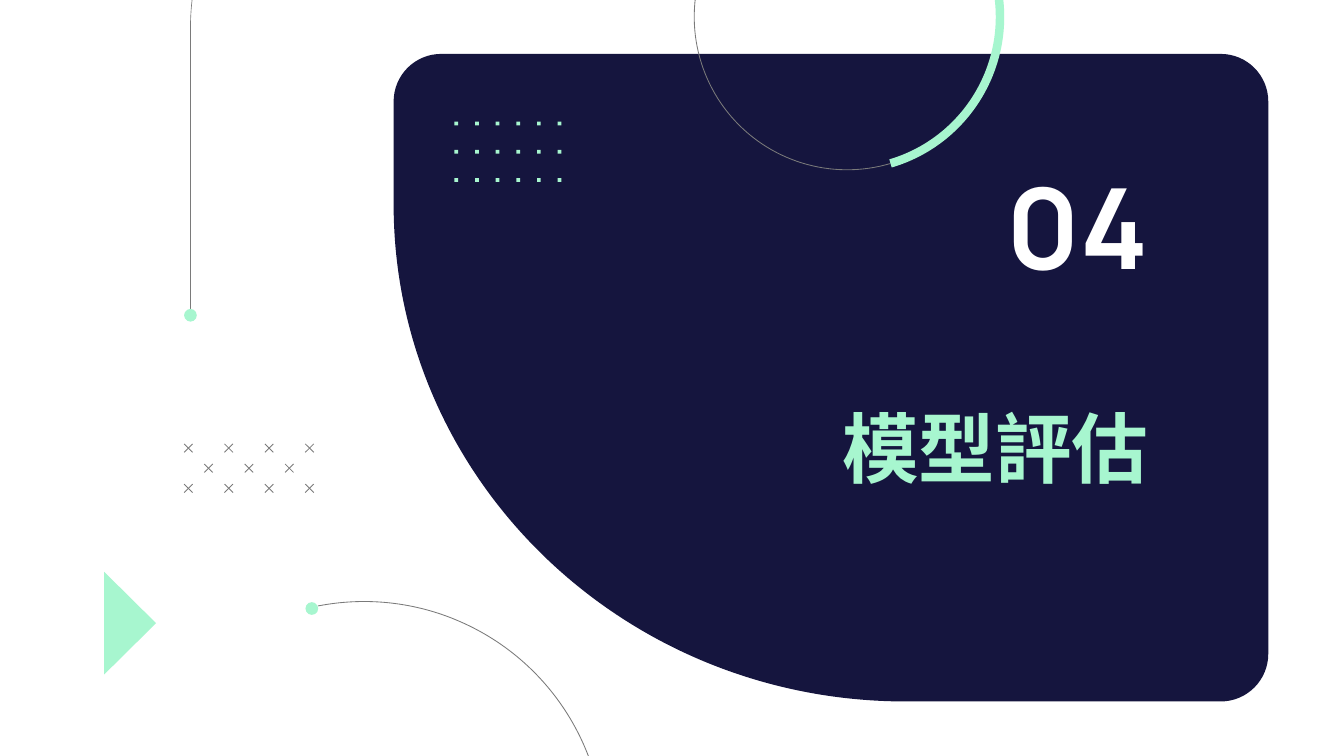
import math
from collections import namedtuple

from lxml import etree
from pptx import Presentation
from pptx import util as u
from pptx.dml import color
from pptx.enum import shapes, text
from pptx.oxml import ns

COLORS = {"navy": "15153E", "mint": "A7F6CF", "gray": "7A7A7A", "white": "FFFFFF"}
Box = namedtuple("Box", "left top width height")


def rgb(name):
    return color.RGBColor.from_string(COLORS[name])


def arc(center_x, center_y, radius_x, radius_y, start, end):
    count = math.ceil(abs(end - start) / 90)
    turn = math.radians(end - start) / count
    reach = 4 / 3 * math.tan(turn / 4)

    def spot(angle, pull):
        x = math.cos(angle) - pull * math.sin(angle)
        y = math.sin(angle) + pull * math.cos(angle)
        return center_x + radius_x * x, center_y + radius_y * y

    angles = [math.radians(start) + turn * i for i in range(count + 1)]
    pieces = [(spot(angles[0], 0),)]
    for first, last in zip(angles, angles[1:]):
        pieces.append((spot(first, reach), spot(last, -reach), spot(last, 0)))
    return pieces


def fill_shape(shape, fill):
    shape.shadow.inherit = False
    shape.fill.solid()
    shape.fill.fore_color.rgb = rgb(fill)
    shape.line.fill.background()


def add_outline(page, pieces, close):
    corners = [(u.Cm(x), u.Cm(y)) for piece in pieces for x, y in piece]
    builder = page.shapes.build_freeform(*corners[0])
    builder.add_line_segments(corners[1:], close=close)
    shape = builder.convert_to_shape()
    lines = iter(list(shape._element.iter(ns.qn("a:lnTo"))))
    for piece in pieces[1:]:
        steps = [next(lines) for _ in piece]
        if len(steps) == 3:
            steps[0].addprevious(curve := etree.Element(ns.qn("a:cubicBezTo")))
            for step in steps:
                curve.append(step[0])
                step.getparent().remove(step)
    return shape


def add_area(page, pieces, fill):
    fill_shape(add_outline(page, pieces, True), fill)


def add_curve(page, pieces, stroke, width):
    curve = add_outline(page, pieces, False)
    curve.shadow.inherit = False
    curve.fill.background()
    curve.line.color.rgb = rgb(stroke)
    curve.line.width = u.Pt(width)


def add_preset(page, kind, left, top, size, fill):
    shape = page.shapes.add_shape(kind, u.Cm(left), u.Cm(top), u.Cm(size), u.Cm(size))
    fill_shape(shape, fill)


def add_end_dot(page, x, y, size=0.24):
    add_preset(page, shapes.MSO_SHAPE.OVAL, x - size / 2, y - size / 2, size, "mint")


def add_panel(page, box, radius=0.9, sweep_x=9.68, sweep_y=9.4):
    left, top = box.left, box.top
    right, bottom = left + box.width, top + box.height
    pieces = arc(right - radius, top + radius, radius, radius, -90, 0)
    pieces += arc(right - radius, bottom - radius, radius, radius, 0, 90)
    pieces += arc(left + sweep_x, bottom - sweep_y, sweep_x, sweep_y, 90, 180)
    pieces += arc(left + radius, top + radius, radius, radius, 180, 270)
    add_area(page, pieces, "navy")


def add_triangle(page, box):
    tip = (box.left + box.width, box.top + box.height / 2)
    corners = [(box.left, box.top), tip, (box.left, box.top + box.height)]
    add_area(page, [(corner,) for corner in corners], "mint")


def add_heading(page, box, words, font, size, fill, bottom_inset):
    frame = page.shapes.add_textbox(*(u.Cm(n) for n in box)).text_frame
    frame.word_wrap = True
    frame.vertical_anchor = text.MSO_ANCHOR.BOTTOM
    frame.margin_left = frame.margin_right = frame.margin_top = u.Cm(0.25)
    frame.margin_bottom = u.Cm(bottom_inset)
    para = frame.paragraphs[0]
    para.alignment = text.PP_ALIGN.RIGHT
    para.add_run().text = words
    para.font.size = u.Pt(size)
    para.font.bold = True
    para.font.color.rgb = rgb(fill)
    para.font.name = font
    properties = para._p.find(".//" + ns.qn("a:defRPr"))
    etree.SubElement(properties, ns.qn("a:ea")).set("typeface", font)


def add_crosses(page, box, columns=7, rows=3, size=0.16):
    step_x = (box.width - size) / (columns - 1)
    step_y = (box.height - size) / (rows - 1)
    for row in range(rows):
        for column in range(row % 2, columns, 2):
            x, y = box.left + column * step_x, box.top + row * step_y
            for start, end in ((y, y + size), (y + size, y)):
                stroke = page.shapes.add_connector(
                    shapes.MSO_CONNECTOR.STRAIGHT, u.Cm(x), u.Cm(start), u.Cm(x + size), u.Cm(end))
                stroke.line.color.rgb = rgb("gray")
                stroke.line.width = u.Pt(0.44)
                etree.SubElement(stroke._element.spPr, ns.qn("a:effectLst"))


def add_dots(page, box, columns=6, rows=3, size=0.07):
    step_x = (box.width - size) / (columns - 1)
    step_y = (box.height - size) / (rows - 1)
    for column in range(columns):
        for row in range(rows):
            add_preset(page, shapes.MSO_SHAPE.RECTANGLE,
                       box.left + column * step_x, box.top + row * step_y, size, "mint")


def add_hanging_line(page, box, radius_x=10.62, radius_y=7.04):
    bottom = box.top + box.height
    pieces = [((box.left, bottom),)]
    pieces += arc(box.left + radius_x, box.top + radius_y, radius_x, radius_y, 180, 270)
    pieces.append(((box.left + box.width, box.top),))
    add_curve(page, pieces, "gray", 0.35)
    add_end_dot(page, box.left, bottom + 0.11)


def add_ring(page, box, start=-16, end=73.5, band=0.08):
    radius = box.width / 2
    center = (box.left + radius, box.top + radius)
    inner, outer = radius - band, radius + band
    add_curve(page, arc(*center, radius, radius, end, start + 360), "gray", 0.44)
    pieces = arc(*center, outer, outer, start, end) + arc(*center, inner, inner, end, start)
    add_area(page, pieces, "mint")


def add_lower_arc(page, box, start=-101, joint=-68, end=169):
    radius = box.width / 2
    circle = (box.left + radius, box.top + radius, radius, radius)
    short = arc(*circle, start, joint)
    add_curve(page, short, "gray", 0.44)
    add_curve(page, arc(*circle, joint, end), "gray", 0.44)
    x, y = short[0][0]
    add_end_dot(page, x - 0.12, y + 0.05)


def add_section_page(deck, box):
    page = deck.slides.add_slide(deck.slide_layouts[6])

    def place(left, top, width, height):
        return Box(box.left + left, box.top + top, width, height)

    add_panel(page, place(7.44, 1.02, 16.53, 12.24))
    add_triangle(page, place(1.97, 10.81, 0.98, 1.94))
    add_heading(page, place(11.96, 5.59, 10, 4.01), "模型評估",
                "Noto Sans CJK SC", 41, "mint", 0.28)
    add_heading(page, place(18.12, 2.79, 3.83, 2.72), "04", "Manrope", 60, "white", 0)
    add_crosses(page, place(3.48, 8.39, 2.45, 0.92))
    add_dots(page, place(8.59, 2.3, 2.02, 1.14))
    add_hanging_line(page, place(3.6, -6.5, 13.97, 12.35))
    add_ring(page, place(13.12, -2.57, 5.78, 5.78))
    add_lower_arc(page, place(2.34, 11.37, 9.08, 9.08))


def main():
    deck = Presentation()
    deck.slide_width, deck.slide_height = u.Cm(25.4), u.Cm(14.29)
    add_section_page(deck, Box(0, 0, 25.4, 14.29))
    deck.save("out.pptx")


if __name__ == "__main__":
    main()
